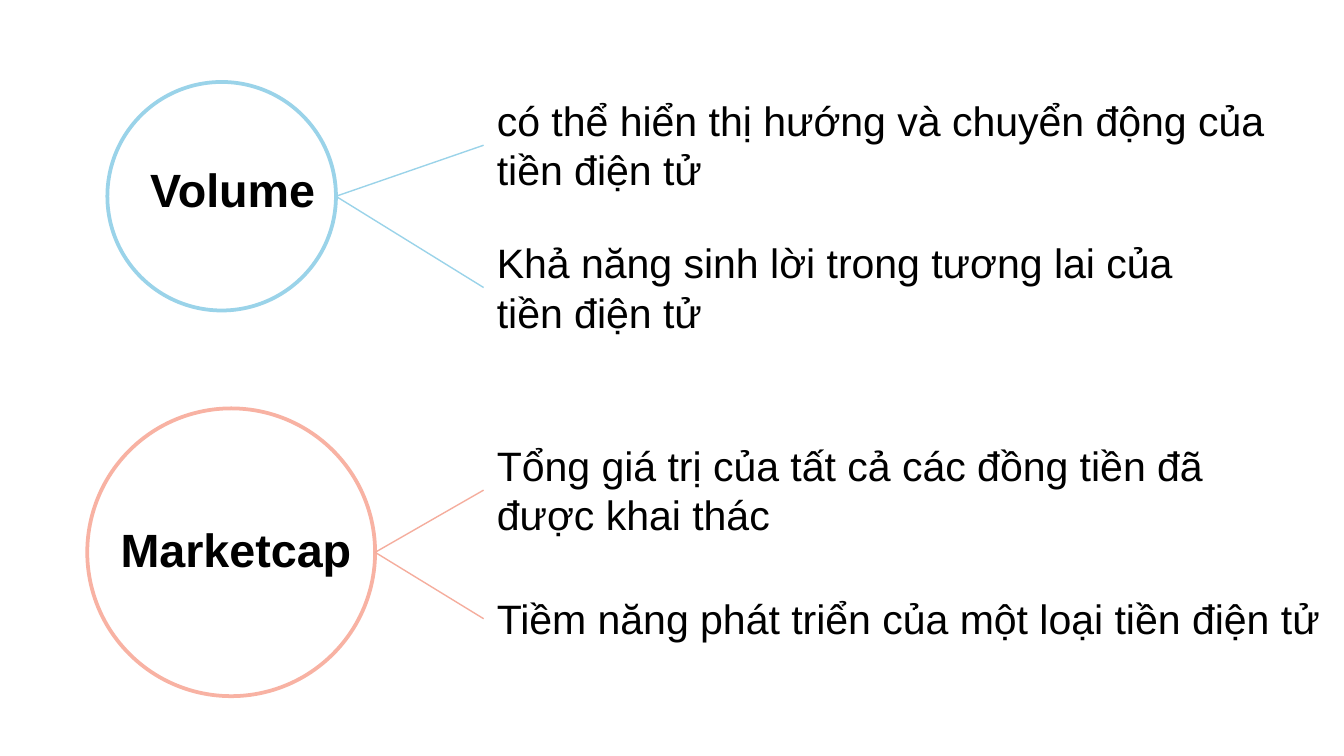
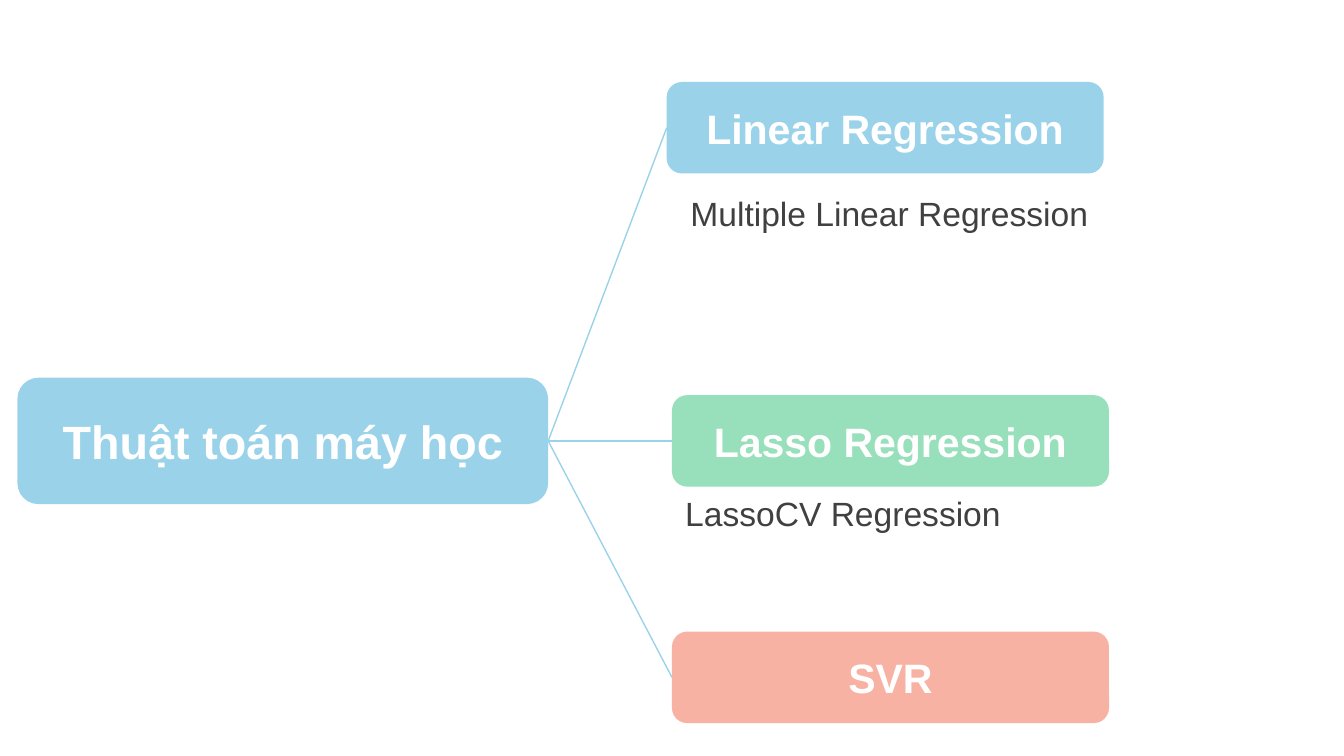
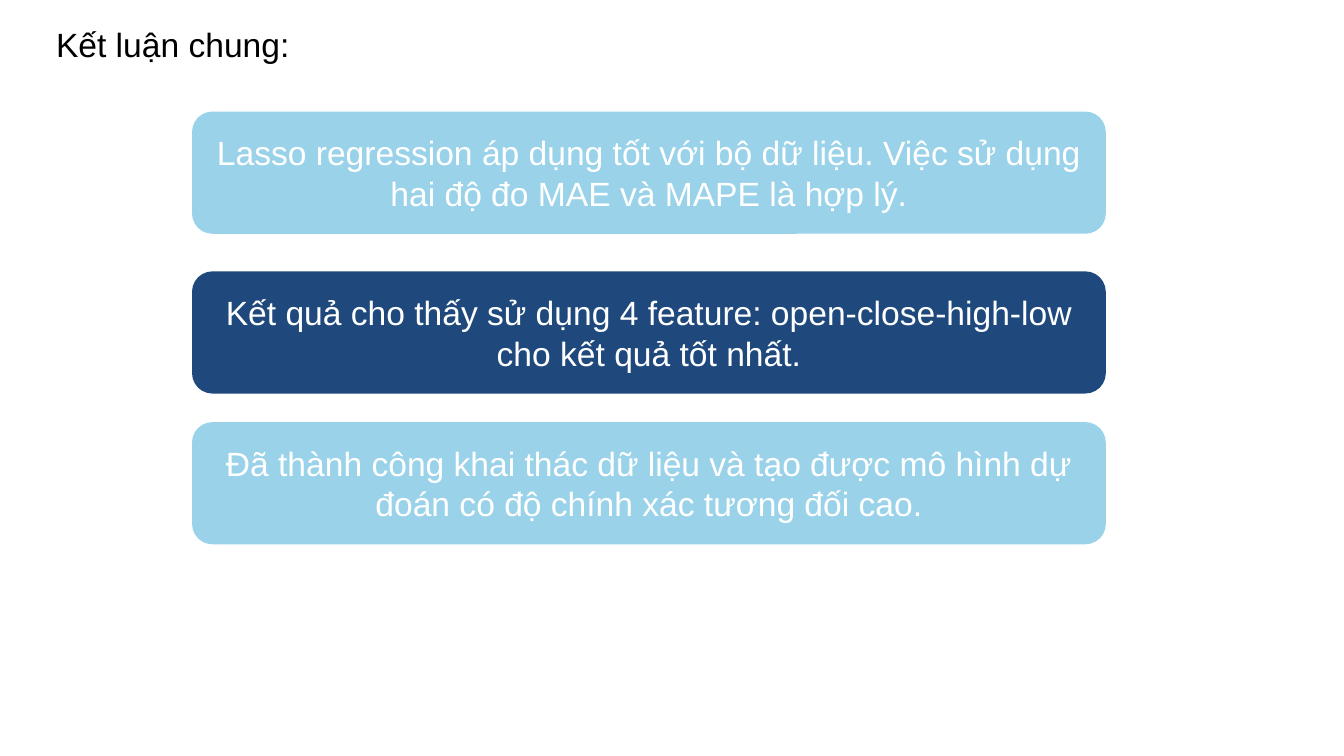
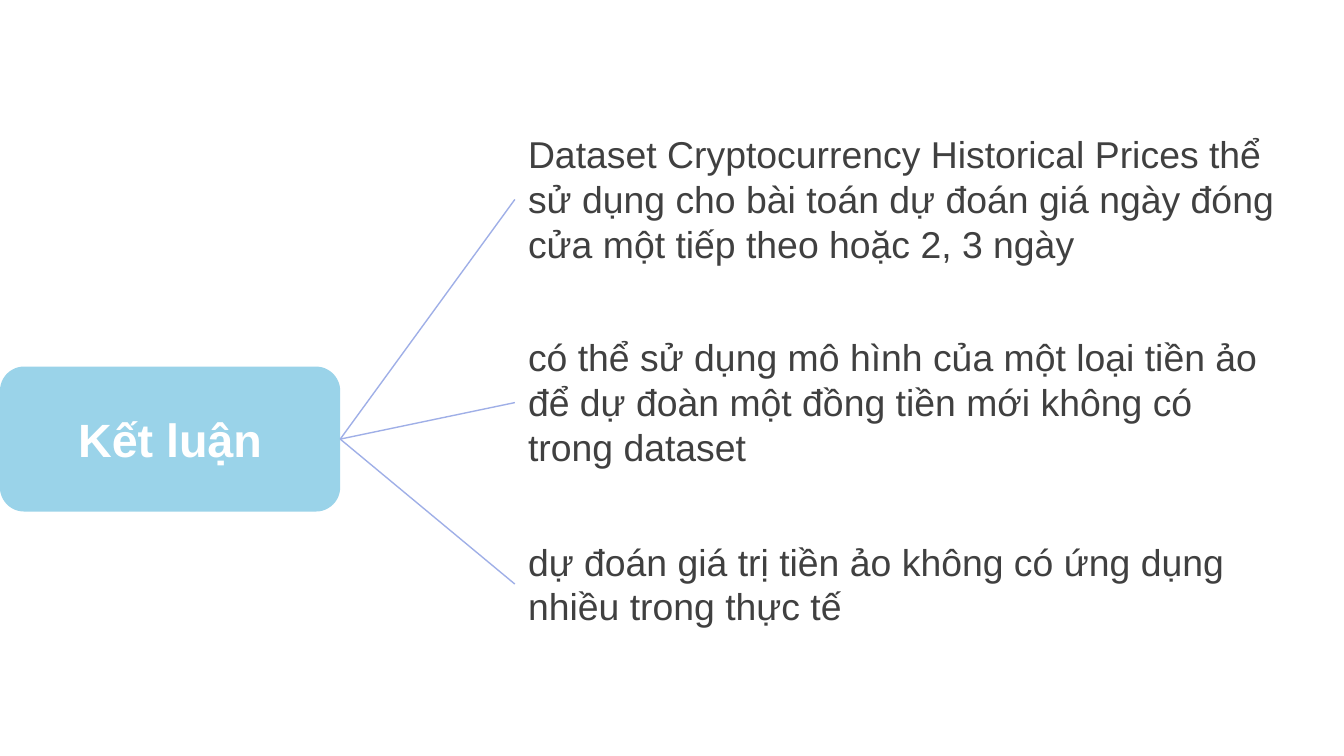
from lxml.etree import SubElement
from pptx import Presentation
from pptx.dml.color import RGBColor
from pptx.enum.shapes import MSO_CONNECTOR, MSO_SHAPE
from pptx.enum.text import MSO_ANCHOR, MSO_AUTO_SIZE, PP_ALIGN
from pptx.oxml.ns import qn
from pptx.util import Cm, Pt

# Shared style
FONT = "Arial"
BLACK = RGBColor(0x00, 0x00, 0x00)
WHITE = RGBColor(0xFF, 0xFF, 0xFF)
GREY = RGBColor(0x40, 0x40, 0x40)
SKY = RGBColor(0x9A, 0xD3, 0xE9)
CORAL = RGBColor(0xF8, 0xB2, 0xA3)
CORAL_LINE = RGBColor(0xF5, 0xAD, 0x9D)
MINT = RGBColor(0x98, 0xDF, 0xBB)
NAVY = RGBColor(0x1F, 0x49, 0x7D)
PERIWINKLE = RGBColor(0x9F, 0xAF, 0xE7)
HEADING_SIZE = 25

# Content; every box is left, top, width, height in centimetres
MEASURE_NOTE_LEFT = 9.14
MEASURES = [
    {"name": "Volume", "circle": (2.03, 1.55, 4.32, 4.32), "label": (2.59, 2.92, 4.34, 1.32),
     "color": SKY, "line": SKY,
     "notes": [  # top, width, height, text
         (1.68, 15.06, 2.13, "có thể hiển thị hướng và chuyển động của tiền điện tử"),
         (4.37, 13.59, 2.13, "Khả năng sinh lời trong tương lai của tiền điện tử")]},
    {"name": "Marketcap", "circle": (1.65, 7.72, 5.44, 5.44), "label": (2.03, 9.73, 5.44, 1.32),
     "color": CORAL, "line": CORAL_LINE,
     "notes": [
         (8.2, 14.22, 2.13, "Tổng giá trị của tất cả các đồng tiền đã được khai thác"),
         (11.1, 16.26, 1.19, "Tiềm năng phát triển của một loại tiền điện tử")]},
]

ALGORITHM_ROOT = ("Thuật toán máy học", (0.33, 7.14, 10.03, 2.39))
ALGORITHM_SIZE = (8.26, 1.73)
ALGORITHMS = [  # name, left, top, fill
    ("Linear Regression", 12.6, 1.55, SKY),
    ("Lasso Regression", 12.7, 7.47, MINT),
    ("SVR", 12.7, 11.94, CORAL),
]
VARIANTS = [
    ("Multiple Linear Regression", (12.8, 3.53, 8.66, 1.02)),
    ("LassoCV Regression", (12.7, 9.19, 8.66, 1.02)),
]

FINDINGS_TITLE = ("Kết luận chung:", (0.81, 0.33, 11.53, 1.02))
FINDING_LEFT, FINDING_SIZE = 3.63, (17.27, 2.31)
FINDINGS = [  # top, fill, text
    (2.11, SKY, "Lasso regression áp dụng tốt với bộ dữ liệu. Việc sử dụng hai độ đo MAE và MAPE là hợp lý."),
    (5.13, NAVY, "Kết quả cho thấy sử dụng 4 feature: open-close-high-low cho kết quả tốt nhất."),
    (7.98, SKY, "Đã thành công khai thác dữ liệu và tạo được mô hình dự đoán có độ chính xác tương đối cao."),
]

CONCLUSION_ROOT = ("Kết luận", (0, 6.93, 6.43, 2.74))
CONCLUSION_LEFT, CONCLUSION_WIDTH = 9.73, 14.68
CONCLUSIONS = [  # top, height, text
    (2.36, 2.82, "Dataset Cryptocurrency Historical Prices thể sử dụng cho bài toán dự đoán giá ngày "
                 "đóng cửa một tiếp theo hoặc 2, 3 ngày"),
    (6.2, 2.82, "có thể sử dụng mô hình của một loại tiền ảo để dự đoàn một đồng tiền mới không có trong dataset"),
    (10.06, 1.96, "dự đoán giá trị tiền ảo không có ứng dụng nhiều trong thực tế"),
]


def place(box):
    return [Cm(length) for length in box]


def write(shape, text, size, color, bold=False, alignment=PP_ALIGN.LEFT):
    frame = shape.text_frame
    frame.text = text
    frame.word_wrap = True
    paragraph = frame.paragraphs[0]
    paragraph.alignment = alignment
    font = paragraph.runs[0].font
    font.name, font.size, font.bold = FONT, Pt(size), bold
    font.color.rgb = color


def add_text(slide, box, text, size, color, bold=False):
    shape = slide.shapes.add_textbox(*place(box))
    write(shape, text, size, color, bold)
    shape.text_frame.auto_size = MSO_AUTO_SIZE.SHAPE_TO_FIT_TEXT
    return shape


def add_panel(slide, box, text, size, fill, bold=False):
    """Filled rounded rectangle with centred white text."""
    shape = slide.shapes.add_shape(MSO_SHAPE.ROUNDED_RECTANGLE, *place(box))
    shape.shadow.inherit = False
    shape.fill.solid()
    shape.fill.fore_color.rgb = fill
    shape.line.fill.background()
    write(shape, text, size, WHITE, bold, PP_ALIGN.CENTER)
    shape.text_frame.vertical_anchor = MSO_ANCHOR.MIDDLE
    return shape


def add_circle(slide, box, color):
    shape = slide.shapes.add_shape(MSO_SHAPE.OVAL, *place(box))
    shape.shadow.inherit = False
    shape.fill.background()
    shape.line.color.rgb = color
    shape.line.width = Pt(2)
    return shape


def connect(slide, root, branches, color):
    """Lines from the right middle of the root to the left middle of each branch."""
    for branch in branches:
        line = slide.shapes.add_connector(
            MSO_CONNECTOR.STRAIGHT,
            root.left + root.width, root.top + root.height // 2,
            branch.left, branch.top + branch.height // 2)
        line.line.color.rgb = color
        line.line.width = Pt(0.75)
        SubElement(line._element.spPr, qn("a:effectLst"))


def build_measures(slide):
    for measure in MEASURES:
        circle = add_circle(slide, measure["circle"], measure["color"])
        add_text(slide, measure["label"], measure["name"], HEADING_SIZE, BLACK, bold=True)
        notes = [add_text(slide, (MEASURE_NOTE_LEFT, top, width, height), text, 22, BLACK)
                 for top, width, height, text in measure["notes"]]
        connect(slide, circle, notes, measure["line"])


def build_algorithms(slide):
    name, box = ALGORITHM_ROOT
    root = add_panel(slide, box, name, HEADING_SIZE, SKY, bold=True)
    branches = [add_panel(slide, (left, top, *ALGORITHM_SIZE), text, 22, fill, bold=True)
                for text, left, top, fill in ALGORITHMS]
    connect(slide, root, branches, SKY)
    for text, box in VARIANTS:
        add_text(slide, box, text, 18, GREY)


def build_findings(slide):
    title, box = FINDINGS_TITLE
    add_text(slide, box, title, 18, BLACK)
    for top, fill, text in FINDINGS:
        add_panel(slide, (FINDING_LEFT, top, *FINDING_SIZE), text, 18, fill)


def build_conclusions(slide):
    name, box = CONCLUSION_ROOT
    root = add_panel(slide, box, name, HEADING_SIZE, SKY, bold=True)
    notes = [add_text(slide, (CONCLUSION_LEFT, top, CONCLUSION_WIDTH, height), text, 20, GREY)
             for top, height, text in CONCLUSIONS]
    connect(slide, root, notes, PERIWINKLE)


def main():
    presentation = Presentation()
    presentation.slide_width, presentation.slide_height = Cm(25.4), Cm(14.29)
    blank_layout = presentation.slide_layouts[6]
    for build in (build_measures, build_algorithms, build_findings, build_conclusions):
        build(presentation.slides.add_slide(blank_layout))
    presentation.save("out.pptx")


if __name__ == "__main__":
    main()
